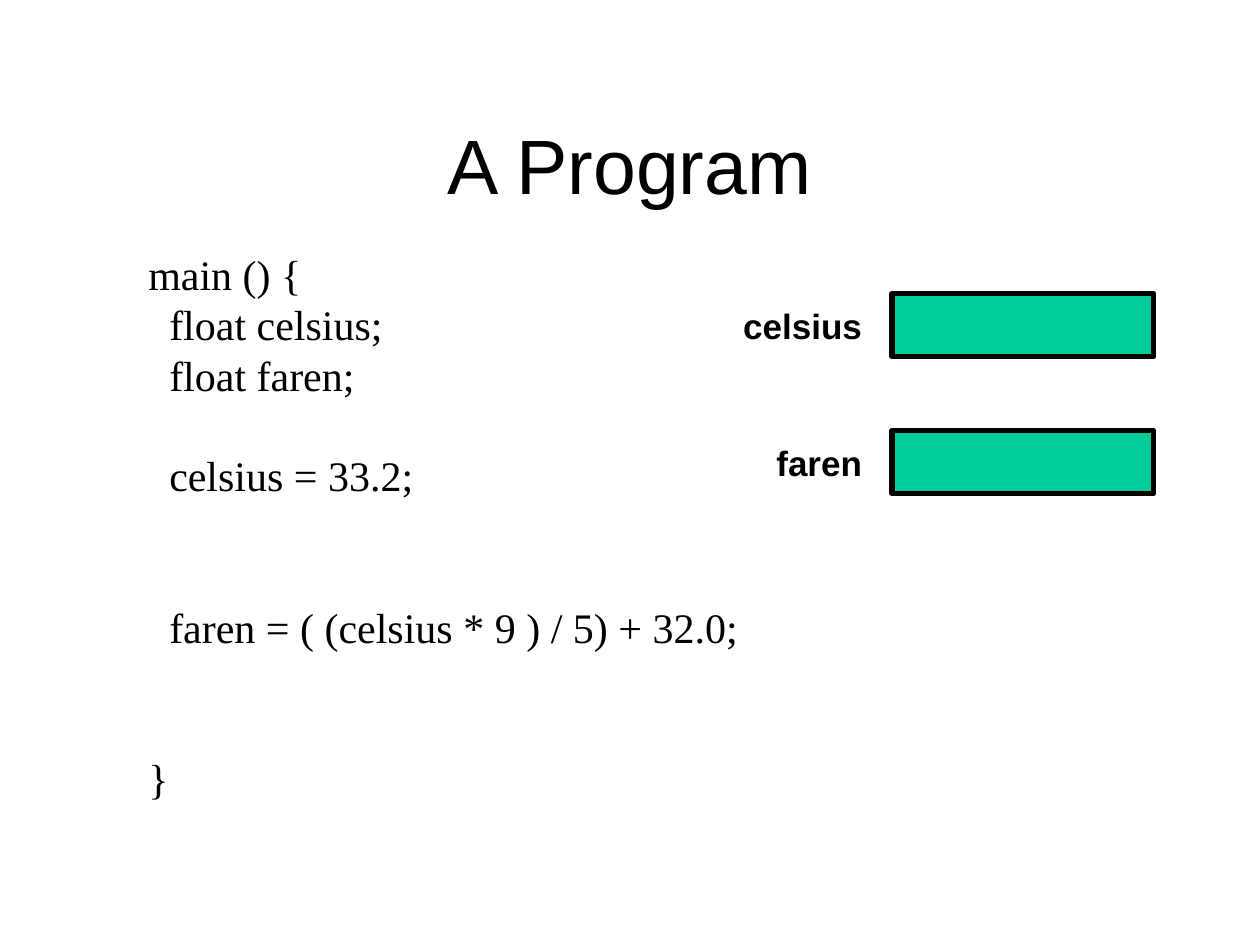
import pptx
import pptx.util
import pptx.dml.color
import pptx.enum.shapes
import pptx.enum.text

Cm, Pt = pptx.util.Cm, pptx.util.Pt
ALIGN = pptx.enum.text.PP_ALIGN
BLACK = pptx.dml.color.RGBColor(0x00, 0x00, 0x00)
GREEN = pptx.dml.color.RGBColor(0x00, 0xCC, 0x99)
LINE = 28.8
CODE = [
    ("main () {", 0, 0),
    ("float celsius;", 1, 0),
    ("float faren;", 1, 0),
    ("celsius = 33.2;", 1, 1),
    ("faren = ( (celsius * 9 ) / 5) + 32.0;", 1, 2),
    ("}", 0, 2),
]
VARIABLES = [("celsius", 2.9), ("faren", 2.24)]


def add_run(p, text, font, size, bold=False):
    """Add one formatted run to a paragraph."""
    r = p.add_run()
    r.text = text
    r.font.name = font
    r.font.size = Pt(size)
    r.font.bold = bold
    r.font.color.rgb = BLACK


def set_title(s, x, y, w, h):
    """Place the title in its box."""
    sp = s.shapes.title
    sp.left, sp.top, sp.width, sp.height = Cm(x), Cm(y), Cm(w), Cm(h)
    tf = sp.text_frame
    tf.vertical_anchor = pptx.enum.text.MSO_ANCHOR.MIDDLE
    p = tf.paragraphs[0]
    p.alignment = ALIGN.CENTER
    add_run(p, "A Program", "Arial", 44)


def add_code(s, x, y, w, h):
    """Write the program, with indents and gaps counted in whole steps."""
    tf = s.shapes.add_textbox(Cm(x), Cm(y), Cm(w), Cm(h)).text_frame
    tf.word_wrap = True
    for i, (text, indent, gap) in enumerate(CODE):
        p = tf.add_paragraph() if i else tf.paragraphs[0]
        p.line_spacing = Pt(LINE)
        p.space_before = Pt(LINE * gap)
        p._p.get_or_add_pPr().set("marL", str(Pt(12) * indent))
        add_run(p, text, "Times New Roman", 24)


def add_variable(s, name, label_w, x, y, w, h):
    """Draw a memory cell with its name to the left."""
    sp = s.shapes.add_shape(pptx.enum.shapes.MSO_SHAPE.RECTANGLE,
                            Cm(x), Cm(y), Cm(w), Cm(h))
    sp.shadow.inherit = False
    sp.fill.solid()
    sp.fill.fore_color.rgb = GREEN
    sp.line.color.rgb = BLACK
    sp.line.width = Pt(3)
    label = s.shapes.add_textbox(Cm(x - 0.35 - label_w), Cm(y + 0.09),
                                 Cm(label_w), Cm(1.11))
    tf = label.text_frame
    tf.word_wrap = False
    p = tf.paragraphs[0]
    p.alignment = ALIGN.RIGHT
    add_run(p, name, "Arial", 20, True)


def main():
    """Build the slide and save it."""
    prs = pptx.Presentation()
    prs.slide_width, prs.slide_height = Cm(25.4), Cm(19.05)
    s = prs.slides.add_slide(prs.slide_layouts[5])
    set_title(s, 1.9, 1.7, 21.6, 3.18)
    add_code(s, 2.74, 4.88, 13.54, 11.43)
    for i, (name, label_w) in enumerate(VARIABLES):
        add_variable(s, name, label_w, 17.98, 5.92 + 2.76 * i, 5.28, 1.27)
    prs.save("out.pptx")


main()
